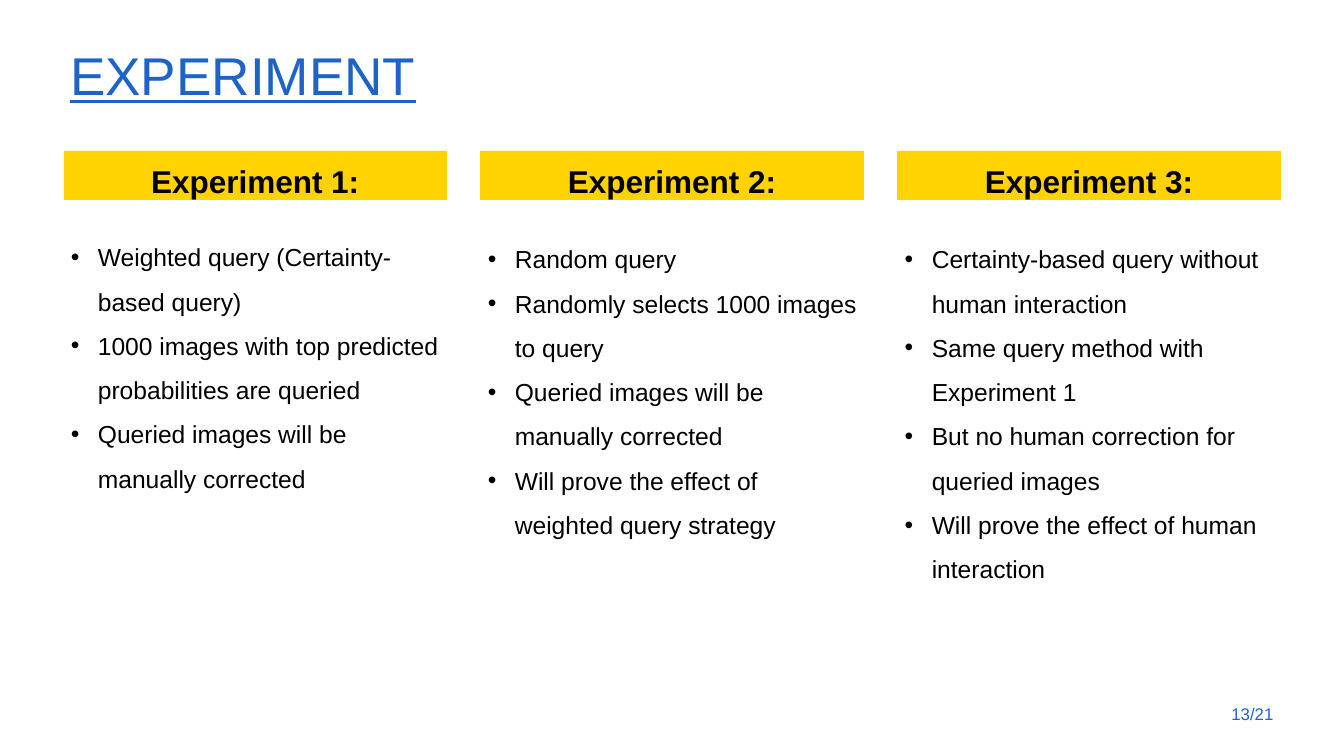
from lxml import etree
from pptx import Presentation
from pptx.dml.color import RGBColor
from pptx.enum.shapes import MSO_SHAPE
from pptx.enum.text import MSO_ANCHOR, MSO_AUTO_SIZE, PP_ALIGN
from pptx.oxml.ns import qn
from pptx.util import Cm, Pt

RECTANGLE = MSO_SHAPE.RECTANGLE
TOP, MIDDLE, BOTTOM = MSO_ANCHOR.TOP, MSO_ANCHOR.MIDDLE, MSO_ANCHOR.BOTTOM
LEFT, CENTER, RIGHT = PP_ALIGN.LEFT, PP_ALIGN.CENTER, PP_ALIGN.RIGHT
NO_AUTOFIT = MSO_AUTO_SIZE.NONE

FONT = "Arial"
BLUE, YELLOW, BLACK = "1E64C8", "FFD200", "000000"

# Column grid, in centimetres
COLUMN_LEFT, COLUMN_PITCH, COLUMN_WIDTH = 2.29, 14.94, 13.72
BAND_TOP, BAND_HEIGHT = 5.41, 1.75
BULLET_INDENT = 0.97

# Heading, top and height of the list, bullet points
EXPERIMENTS = [
    ("Experiment 1:", 8.03, 9.68, [
        "Weighted query (Certainty-based query)",
        "1000 images with top predicted probabilities are queried",
        "Queried images will be manually corrected",
    ]),
    ("Experiment 2:", 8.1, 11.28, [
        "Random query",
        "Randomly selects 1000 images to query",
        "Queried images will be manually corrected",
        "Will prove the effect of weighted query strategy",
    ]),
    ("Experiment 3:", 8.1, 12.88, [
        "Certainty-based query without human interaction",
        "Same query method with Experiment 1",
        "But no human correction for queried images",
        "Will prove the effect of human interaction",
    ]),
]


def color(hex_value):
    return RGBColor.from_string(hex_value)


def write_text(shape, lines, size, text_color, anchor=TOP, alignment=LEFT, spacing=1.0):
    """Fill a shape with one paragraph per line and return the paragraphs."""
    frame = shape.text_frame
    frame.text = "\n".join(lines)
    frame.word_wrap = True
    frame.auto_size = NO_AUTOFIT
    frame.vertical_anchor = anchor
    for paragraph in frame.paragraphs:
        paragraph.alignment = alignment
        paragraph.line_spacing = spacing
        paragraph.font.name = FONT
        paragraph.font.size = Pt(size)
        paragraph.font.color.rgb = color(text_color)
    return frame.paragraphs


def add_bullet(paragraph):
    properties = paragraph._p.get_or_add_pPr()
    properties.set("marL", str(Cm(BULLET_INDENT)))
    properties.set("indent", str(-Cm(BULLET_INDENT)))
    bullet_font = etree.Element(qn("a:buFont"), typeface=FONT)
    bullet = etree.Element(qn("a:buChar"), char="•")
    # Bullet elements precede the default run properties
    run_properties = properties.find(qn("a:defRPr"))
    run_properties.addprevious(bullet_font)
    run_properties.addprevious(bullet)


def format_title(slide, text):
    title = slide.shapes.title
    title.left, title.top, title.width, title.height = Cm(2.26), Cm(1.57), Cm(43.64), Cm(2.39)
    paragraph, = write_text(title, [text], 54, BLUE, anchor=BOTTOM, spacing=0.9)
    paragraph.font.underline = True


def add_band(slide, left, heading):
    band = slide.shapes.add_shape(
        RECTANGLE, Cm(left), Cm(BAND_TOP), Cm(COLUMN_WIDTH), Cm(BAND_HEIGHT))
    band.shadow.inherit = False
    band.fill.solid()
    band.fill.fore_color.rgb = color(YELLOW)
    band.line.color.rgb = color(YELLOW)
    band.line.width = Pt(0.75)
    paragraph, = write_text(band, [heading], 32, BLACK, alignment=CENTER, spacing=1.2)
    paragraph.font.bold = True


def add_bullet_list(slide, left, top, height, points):
    box = slide.shapes.add_textbox(Cm(left), Cm(top), Cm(COLUMN_WIDTH), Cm(height))
    for paragraph in write_text(box, points, 25, BLACK, spacing=1.5):
        add_bullet(paragraph)


def add_page_number(slide, text):
    box = slide.shapes.add_textbox(Cm(43.31), Cm(24.87), Cm(2.57), Cm(1.45))
    write_text(box, [text], 17.1, BLUE, anchor=MIDDLE, alignment=RIGHT)


def main():
    presentation = Presentation()
    presentation.slide_width, presentation.slide_height = Cm(48.16), Cm(27.1)
    slide = presentation.slides.add_slide(presentation.slide_layouts[5])

    format_title(slide, "EXPERIMENT")

    # One column per experiment
    for index, (heading, top, height, points) in enumerate(EXPERIMENTS):
        left = COLUMN_LEFT + index * COLUMN_PITCH
        add_band(slide, left, heading)
        add_bullet_list(slide, left, top, height, points)

    add_page_number(slide, "13/21")
    presentation.save("out.pptx")


if __name__ == "__main__":
    main()
